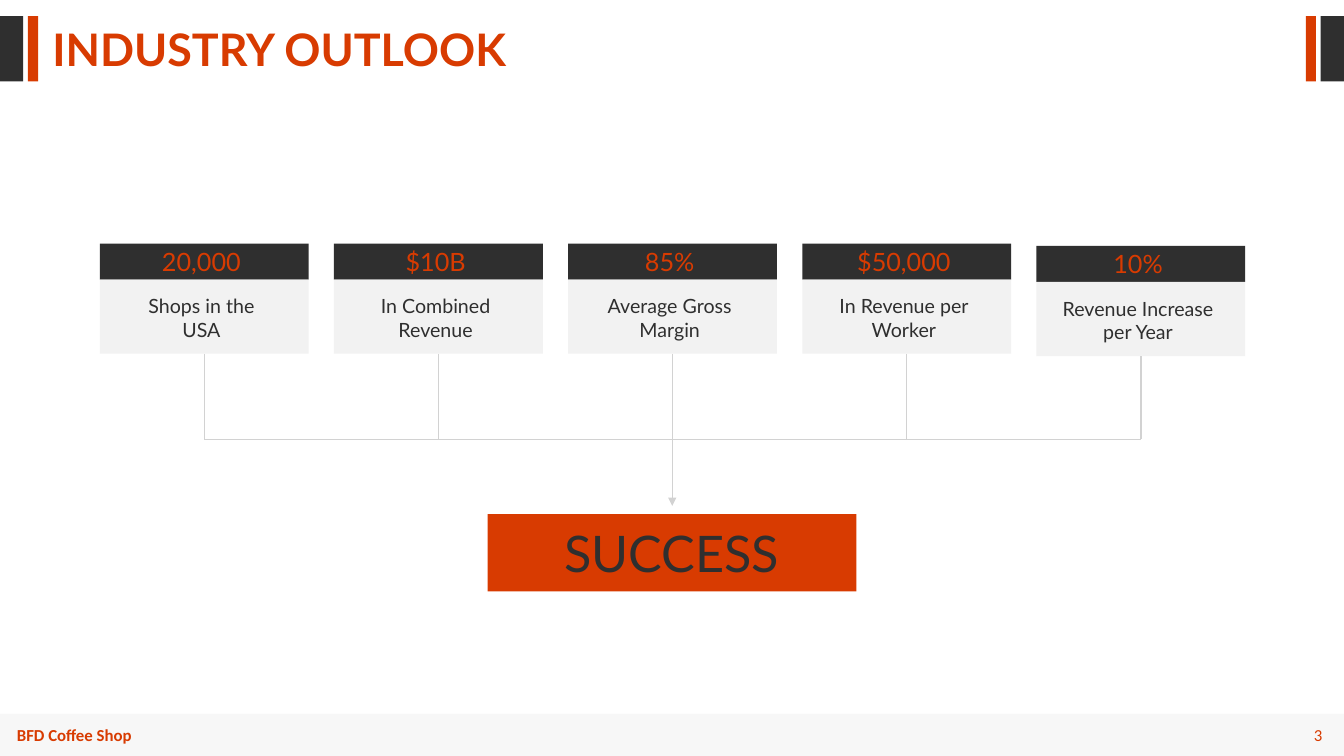
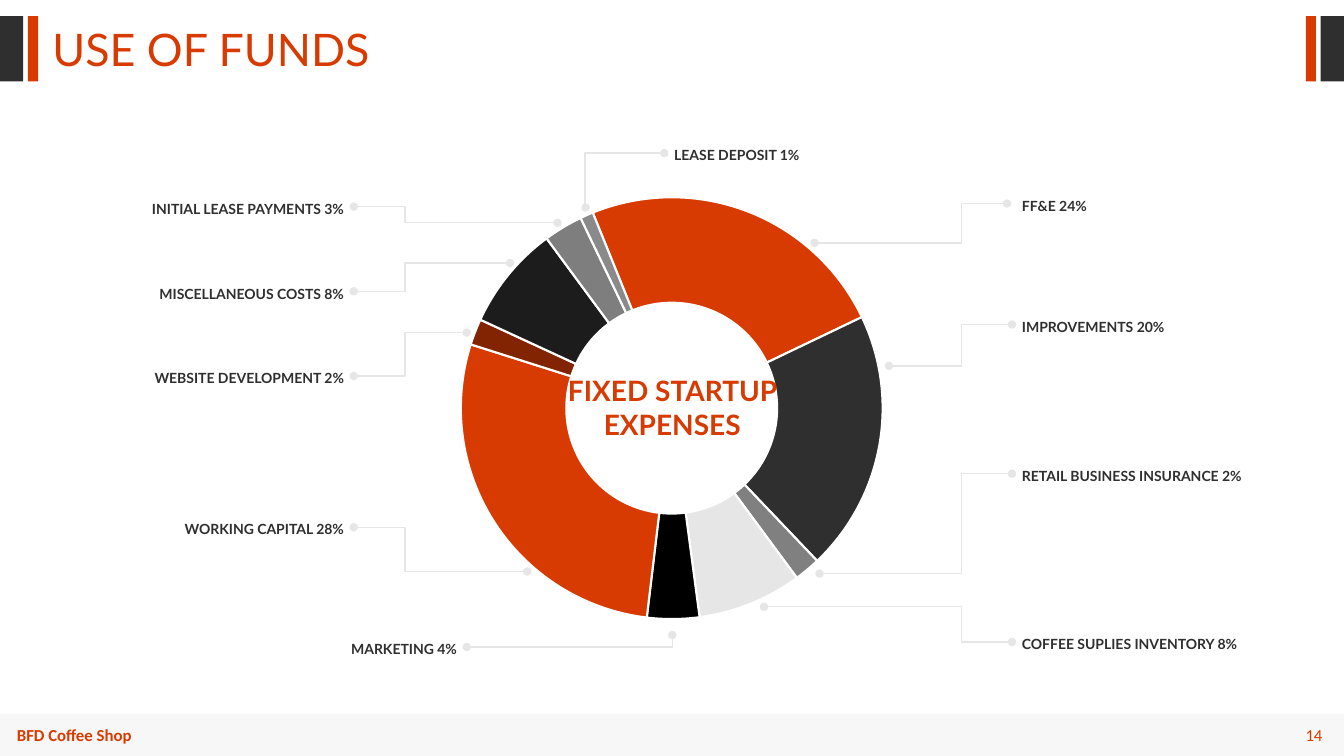
"""Build the industry outlook and use of funds slides."""
from dataclasses import dataclass

from lxml import etree
from pptx import Presentation
from pptx import util as u
from pptx.chart import data
from pptx.dml.color import RGBColor
from pptx.enum import chart, shapes, text
from pptx.oxml import ns

Pt = u.Pt
ORANGE, DARK, PALE, GREY, SILVER = "D83B01", "2F2F2F", "F2F2F2", "D2D2D2", "E6E6E6"
LEFT, CENTER, RIGHT = text.PP_ALIGN.LEFT, text.PP_ALIGN.CENTER, text.PP_ALIGN.RIGHT
TOP, MIDDLE = text.MSO_ANCHOR.TOP, text.MSO_ANCHOR.MIDDLE
WIDTH, HEIGHT = 960, 540
BAR_TOP, BAR_HEIGHT = 11.6, 46.6
CARD_LEFT, CARD_TOP, CARD_PITCH, CARD_WIDTH = 71.3, 174, 167.25, 149.2
HEAD_HEIGHT, BODY_HEIGHT, BUS_Y = 25.7, 53, 313.9
LABEL_WIDTH, LABEL_RISE = 222.5, 10.4
LEFT_DOT, LEFT_BEND, RIGHT_BEND, RIGHT_DOT = 252.7, 289.4, 687, 722.9


@dataclass(frozen=True)
class Card:
    """A figure with its caption."""
    figure: str
    caption: str
    text_width: float = 107.3
    drop: float = 0


@dataclass(frozen=True)
class Slice:
    """A share of the ring, its colour and its leader to a label."""
    label: str
    share: int
    color: str
    ring: tuple[float, float]
    dot: tuple[float, float]
    bend: float
    gap: float = 0


CARDS = [
    Card("20,000", "Shops in the USA"),
    Card("$10B", "In Combined Revenue"),
    Card("85%", "Average Gross Margin"),
    Card("$50,000", "In Revenue per Worker"),
    Card("10%", "Revenue Increase per Year", 130.3, 1.7),
]
SLICES = [
    Slice("FF&E", 24, ORANGE, (581.8, 173.5), (719.3, 145.4), RIGHT_BEND, 3.6),
    Slice("IMPROVEMENTS", 20, DARK, (635, 261.4), (RIGHT_DOT, 231.8), RIGHT_BEND),
    Slice("RETAIL BUSINESS INSURANCE", 2, "808080", (585.4, 409.7), (RIGHT_DOT, 338.4), RIGHT_BEND),
    Slice("COFFEE SUPLIES INVENTORY", 8, SILVER, (545.8, 433.4), (RIGHT_DOT, 458.6), RIGHT_BEND),
    Slice("MARKETING", 4, "000000", (480.2, 453.6), (333.4, 462.2), 480.2),
    Slice("WORKING CAPITAL", 28, ORANGE, (376.6, 408.2), (LEFT_DOT, 376.6), LEFT_BEND),
    Slice("WEBSITE DEVELOPMENT", 2, "822301", (333.4, 237.6), (LEFT_DOT, 268.6), LEFT_BEND),
    Slice("MISCELLANEOUS COSTS", 8, "1C1C1C", (364.3, 187.9), (LEFT_DOT, 208.1), LEFT_BEND),
    Slice("INITIAL LEASE PAYMENTS", 3, "7E7E7E", (398.2, 159.1), (LEFT_DOT, 147.6), LEFT_BEND),
    Slice("LEASE DEPOSIT", 1, "8A8A8A", (418.3, 148.3), (474.5, 109.4), 417.8),
]


def paint(fmt, color: str) -> None:
    """Give a fill a solid colour."""
    fmt.solid()
    fmt.fore_color.rgb = RGBColor.from_string(color)


def write(sp, content: str, *, size: float, color: str = DARK, font: str = "Lato",
          bold: bool = False, align=LEFT, anchor=TOP, spacing: float = 1.0,
          wrap: bool = True) -> None:
    """Put one formatted paragraph in a shape."""
    tf = sp.text_frame
    tf.auto_size = text.MSO_AUTO_SIZE.NONE
    tf.word_wrap, tf.vertical_anchor = wrap, anchor
    p = tf.paragraphs[0]
    p.alignment, p.line_spacing = align, spacing
    r = p.add_run()
    r.text = content
    r.font.name, r.font.size, r.font.bold = font, Pt(size), bold
    r.font.color.rgb = RGBColor.from_string(color)


def add_text(s, content: str, x: float, y: float, w: float, h: float, **style):
    """Add a text box in the given style."""
    sp = s.shapes.add_textbox(Pt(x), Pt(y), Pt(w), Pt(h))
    write(sp, content, **style)
    return sp


def add_rect(s, x: float, y: float, w: float, h: float, color: str):
    """Add a flat rectangle without an outline."""
    sp = s.shapes.add_shape(shapes.MSO_SHAPE.RECTANGLE, Pt(x), Pt(y), Pt(w), Pt(h))
    sp.shadow.inherit = False
    paint(sp.fill, color)
    sp.line.fill.background()
    return sp


def add_line(s, begin: tuple[float, float], end: tuple[float, float], color: str,
             bend: float | None = None, head: str = "", tail: str = ""):
    """Add a straight line, or an elbow that turns at the x of bend."""
    kind = shapes.MSO_CONNECTOR.STRAIGHT if bend is None else shapes.MSO_CONNECTOR.ELBOW
    line = s.shapes.add_connector(kind, *(Pt(v) for v in begin + end))
    paint(line.line.fill, color)
    line.line.width = Pt(1)
    sp_pr = line.element.spPr
    etree.SubElement(sp_pr, ns.qn("a:effectLst"))
    for tag, style in (("a:headEnd", head), ("a:tailEnd", tail)):
        if style:
            etree.SubElement(sp_pr.find(ns.qn("a:ln")), ns.qn(tag), type=style)
    if bend is not None:
        ratio = round((bend - begin[0]) / (end[0] - begin[0]) * 100000)
        guides = sp_pr.find(ns.qn("a:prstGeom")).get_or_add_avLst()
        etree.SubElement(guides, ns.qn("a:gd"), name="adj1", fmla=f"val {ratio}")
    return line


def dress_layout(layout, s) -> None:
    """Draw the bars and the footer once and hand them to the layout."""
    for holder in list(layout.placeholders):
        if holder.placeholder_format.idx:
            holder.element.getparent().remove(holder.element)
    title = layout.placeholders[0]
    title.left, title.top, title.width, title.height = Pt(30.2), Pt(19.4), Pt(480), Pt(39)
    bars = [(0, 16.6, DARK), (20, 7.2, ORANGE)]
    parts = [add_rect(s, left, BAR_TOP, w, BAR_HEIGHT, color)
             for x, w, color in bars for left in (x, WIDTH - x - w)]
    band = add_rect(s, 0, 510, WIDTH, 30, SILVER)
    solid = band.element.spPr.find(ns.qn("a:solidFill"))
    etree.SubElement(solid[0], ns.qn("a:alpha"), val="30000")
    name = add_text(s, "BFD Coffee Shop", 5, 514, 132.5, 21.8, size=12,
                    color=ORANGE, font="Calibri", bold=True)
    for sp in parts + [band, name]:
        layout.shapes.element.append(sp.element)


def add_heading(s, title: str, number: int, bold: bool = False) -> None:
    """Fill the title and the page number."""
    write(s.shapes.title, title, size=32, color=ORANGE, bold=bold, spacing=0.8)
    add_text(s, str(number), 889.2, 514, 62.6, 21.8, size=12, color=ORANGE,
             font="Calibri", align=RIGHT, anchor=MIDDLE)


def add_card(s, card: Card, x: float) -> None:
    """Draw a card and its line down to the bus."""
    y, middle = CARD_TOP + card.drop, x + CARD_WIDTH / 2
    add_rect(s, x, y, CARD_WIDTH, HEAD_HEIGHT, DARK)
    body = add_rect(s, x, y + HEAD_HEIGHT, CARD_WIDTH, BODY_HEIGHT, PALE)
    for content, w, top, h, size, color in (
            (card.figure, 83, y - 1.9, 29, 18, ORANGE),
            (card.caption, card.text_width, y + 32.5, 41.2, 14, DARK)):
        add_text(s, content, middle - 2 - w / 2, top, w, h, size=size, color=color, align=CENTER)
    line = add_line(s, (middle, y + HEAD_HEIGHT + BODY_HEIGHT), (middle, BUS_Y), GREY)
    line.begin_connect(body, 2)


def build_outlook(s) -> None:
    """Draw the five cards that lead to success."""
    add_heading(s, "INDUSTRY OUTLOOK", 3, bold=True)
    for i, card in enumerate(CARDS):
        add_card(s, card, CARD_LEFT + i * CARD_PITCH)
    first = CARD_LEFT + CARD_WIDTH / 2
    add_line(s, (first, BUS_Y), (first + (len(CARDS) - 1) * CARD_PITCH, BUS_Y), GREY)
    add_line(s, (480.2, BUS_Y), (480.2, 361.4), GREY, tail="triangle")
    add_rect(s, 348.3, 367.2, 263.5, 55.2, ORANGE)
    add_text(s, "SUCCESS", 394.6, 369.4, 170.6, 51, size=36, align=CENTER, wrap=False)


def add_ring(s) -> None:
    """Draw the doughnut chart of the shares."""
    cd = data.CategoryChartData()
    cd.categories = [str(i + 1) for i in range(len(SLICES))]
    cd.add_series("Series 1", [part.share for part in SLICES])
    ring = s.shapes.add_chart(chart.XL_CHART_TYPE.DOUGHNUT, Pt(236.9), Pt(129.6),
                              Pt(486), Pt(324), cd).chart
    ring.has_legend = ring.has_title = False
    ring.font.name, ring.font.size = "Calibri", Pt(10)
    ring.font.color.rgb = RGBColor.from_string("000000")
    plot = ring.plots[0]
    plot.vary_by_categories = True
    for i, part in enumerate(SLICES):
        fmt = plot.series[0].points[i].format
        paint(fmt.fill, part.color)
        paint(fmt.line.fill, "FFFFFF")
        fmt.line.width = Pt(1.5)
    for tag, value in (("c:firstSliceAng", "338"), ("c:holeSize", "64")):
        for old in plot._element.findall(ns.qn(tag)):
            plot._element.remove(old)
        etree.SubElement(plot._element, ns.qn(tag), val=value)
    area = ring._chartSpace.chart.plotArea
    for old in area.findall(ns.qn("c:layout")):
        area.remove(old)
    layout = etree.Element(ns.qn("c:layout"))
    area.insert(0, layout)
    manual = etree.SubElement(layout, ns.qn("c:manualLayout"))
    for tag, value in (("layoutTarget", "inner"), ("xMode", "edge"), ("yMode", "edge"),
                       ("x", "0.19"), ("y", "0.03"), ("w", "0.62"), ("h", "0.94")):
        etree.SubElement(manual, ns.qn(f"c:{tag}"), val=value)


def add_label(s, part: Slice) -> None:
    """Draw a leader and the label at its outer end."""
    x, y = part.dot
    on_right = x > part.ring[0]
    left = x + part.gap if on_right else x - LABEL_WIDTH
    add_text(s, f"{part.label} {part.share}%", left, y - LABEL_RISE, LABEL_WIDTH, 20.2,
             size=10, bold=True, align=LEFT if on_right else RIGHT, spacing=1.2)
    add_line(s, part.dot, part.ring, SILVER, part.bend, "oval", "oval")


def build_funds(s) -> None:
    """Draw the ring of expenses with its labels."""
    add_heading(s, "USE OF FUNDS", 14)
    add_ring(s)
    for part in SLICES:
        add_label(s, part)
    add_text(s, "FIXED STARTUP EXPENSES", 371.5, 263.5, 217.4, 55.4, size=20,
             color=ORANGE, bold=True, align=CENTER)


def main() -> None:
    """Build and save the deck."""
    prs = Presentation()
    prs.slide_width, prs.slide_height = Pt(WIDTH), Pt(HEIGHT)
    layout = prs.slide_layouts[5]
    outlook, funds = (prs.slides.add_slide(layout) for _ in range(2))
    dress_layout(layout, outlook)
    build_outlook(outlook)
    build_funds(funds)
    prs.save("out.pptx")


if __name__ == "__main__":
    main()
